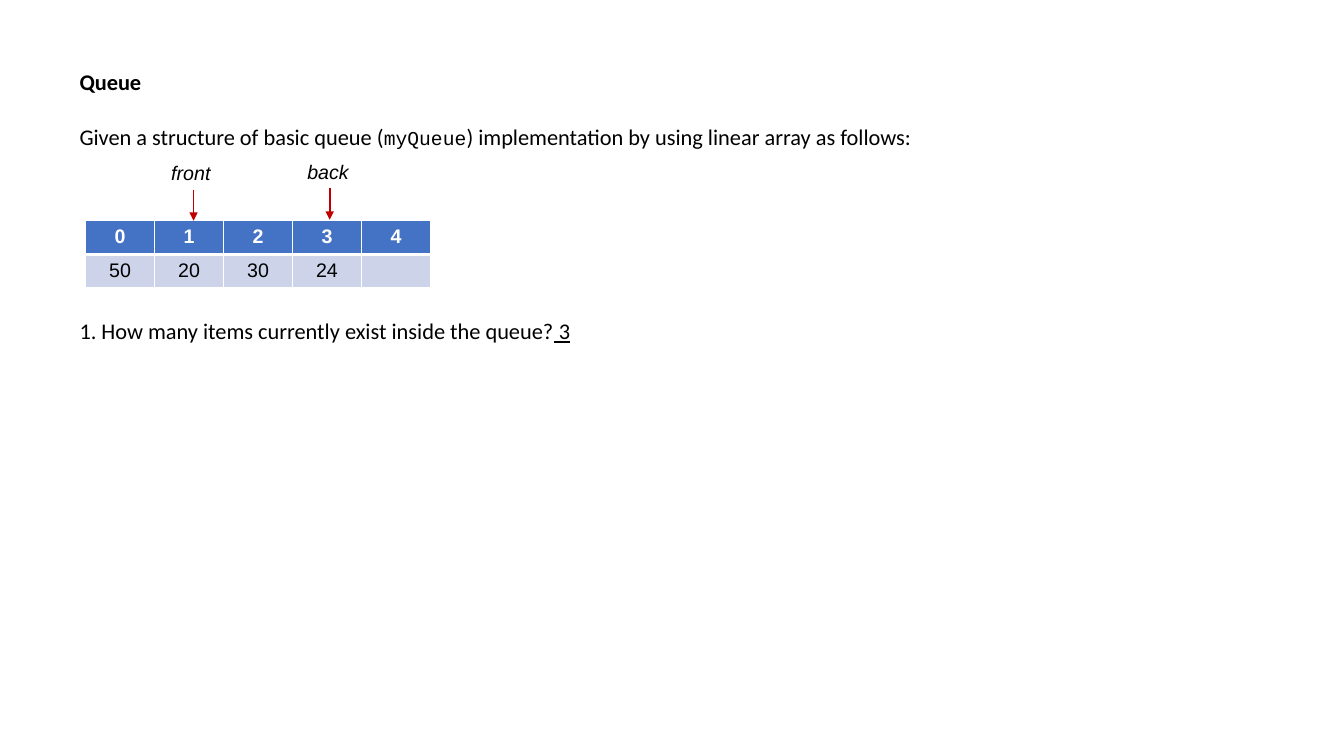
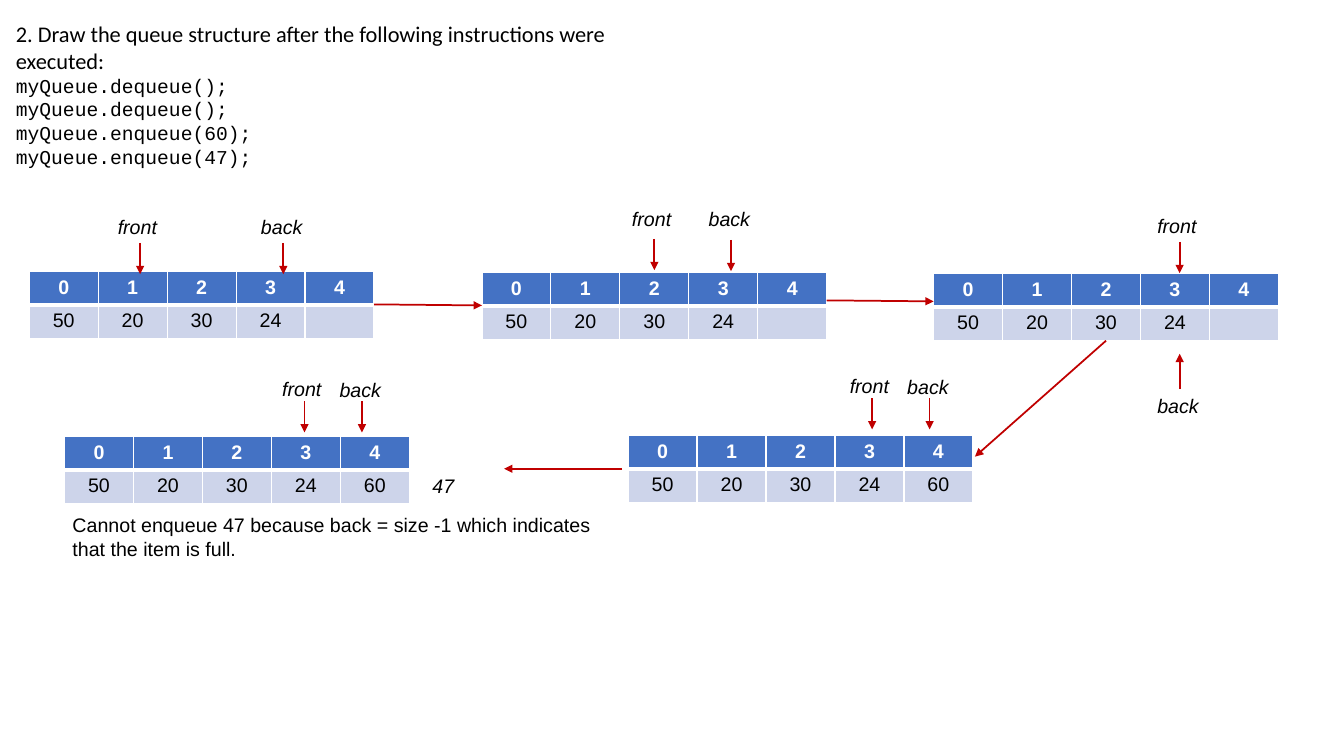
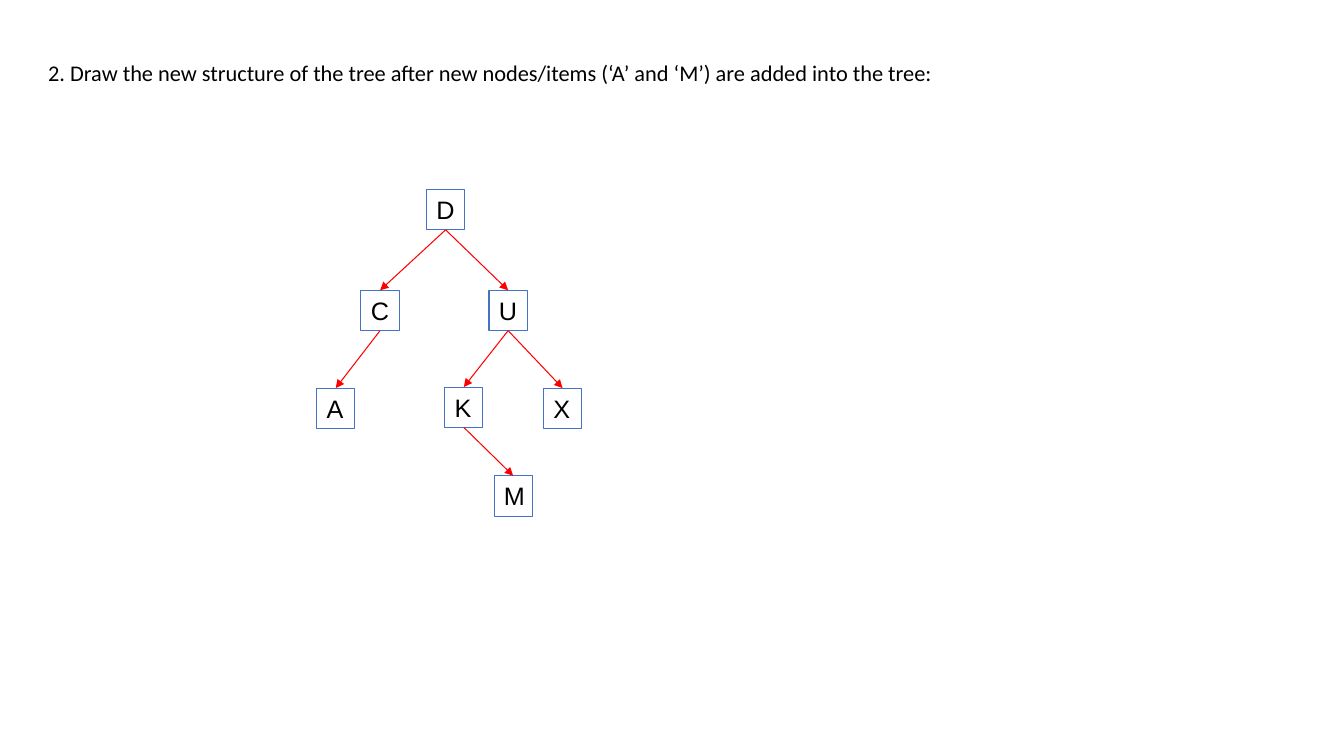
"""Build three slides of queue and tree exercises."""
from dataclasses import dataclass

from lxml.etree import SubElement
from pptx import Presentation
from pptx.dml.color import RGBColor
from pptx.enum.shapes import MSO_CONNECTOR, MSO_SHAPE
from pptx.enum.text import MSO_ANCHOR, PP_ALIGN
from pptx.oxml.ns import qn
from pptx.util import Inches, Pt


@dataclass(frozen=True)
class Theme:
    black: str = "000000"
    white: str = "FFFFFF"
    blue: str = "4472C4"
    pale: str = "CDD4EA"
    pointer: str = "C00000"
    edge: str = "FF0000"
    question: tuple = ("Calibri", 16)
    code: tuple = ("Courier New", 14)
    label: tuple = ("Arial", 14)
    node: tuple = ("Arial", 18)
    pointer_width: float = 1.25
    thin: float = 0.75


T = Theme()
LABEL_W, LABEL_H = 0.64, 0.34
CELL_W, CELL_H = 0.684, 0.33
NODE_W, NODE_H = 0.38, 0.4

START = ["50", "20", "30", "24", ""]
FULL = ["50", "20", "30", "24", "60"]

INTRO = [
    [("Queue", T.question, "b")],
    [("Given a structure of basic queue (", T.question, ""),
     ("myQueue", T.code, ""),
     (") implementation by using linear array as follows:", T.question, "")],
]
COUNT = [[("1. How many items currently exist inside the queue?", T.question, ""),
          (" 3", T.question, "u")]]
DRAW_QUEUE = [
    [("2. Draw the queue structure after the following instructions were executed:",
      T.question, "")],
    [("myQueue.dequeue();", T.code, "")],
    [("myQueue.dequeue();", T.code, "")],
    [("myQueue.enqueue(60);", T.code, "")],
    [("myQueue.enqueue(47);", T.code, "")],
]
OVERFLOW = [[("47", T.label, "i")]]
FULL_NOTE = [[("Cannot enqueue 47 because back = size -1 which indicates "
               "that the item is full.", T.label, "")]]
DRAW_TREE = [[("2. Draw the new structure of the tree after new nodes/items "
               "(‘A’ and ‘M’) are added into the tree:", T.question, "")]]

# Each queue: left, top, values, pointers (name, left, top, arrow start, arrow end)
FIRST_QUEUE = (0.85, 2.19, START, [("front", 1.6, 1.55, 1.89, 2.19),
                                   ("back", 2.95, 1.54, 1.87, 2.18)])
QUEUE_STEPS = [
    (0.29, 2.69, START, [("front", 1.07, 2.08, 2.41, 2.72),
                         ("back", 2.49, 2.08, 2.41, 2.72)]),
    (4.78, 2.7, START, [("front", 6.17, 2, 2.37, 2.68),
                        ("back", 6.93, 2, 2.38, 2.69)]),
    (9.26, 2.71, START, [("front", 11.38, 2.07, 2.4, 2.71),
                         ("back", 11.38, 3.86, 3.86, 3.51)]),
    (6.23, 4.32, FULL, [("front", 8.33, 3.66, 3.95, 4.26),
                        ("back", 8.9, 3.67, 3.95, 4.26)]),
    (0.64, 4.33, FULL, [("front", 2.7, 3.69, 3.98, 4.29),
                        ("back", 3.27, 3.7, 3.98, 4.29)]),
]
STEP_ARROWS = [(3.71, 3.02, 4.78, 3.03), (8.2, 2.98, 9.26, 2.99),
               (10.97, 3.38, 9.67, 4.53), (6.17, 4.65, 5, 4.65)]

TREE_NODES = {"D": (4.23, 1.88), "C": (3.58, 2.88), "U": (4.85, 2.88),
              "A": (3.14, 3.85), "K": (4.41, 3.84), "X": (5.39, 3.85),
              "M": (4.9, 4.72)}
TREE_EDGES = ["DC", "DU", "CA", "UK", "UX", "KM"]


def rgb(color):
    return RGBColor.from_string(color)


def style(r, font, flags="", color=T.black):
    name, size = font
    r.font.name, r.font.size = name, Pt(size)
    r.font.color.rgb = rgb(color)
    r.font.bold = "b" in flags
    r.font.italic = "i" in flags
    r.font.underline = "u" in flags


def add_text(s, left, top, width, height, paragraphs, gap=0):
    tf = s.shapes.add_textbox(*map(Inches, (left, top, width, height))).text_frame
    tf.word_wrap = True
    for i, runs in enumerate(paragraphs):
        p = tf.add_paragraph() if i else tf.paragraphs[0]
        if i and gap:
            p.space_before = Pt(gap)
        for text, font, flags in runs:
            r = p.add_run()
            r.text = text
            style(r, font, flags)


def add_arrow(s, x1, y1, x2, y2, color=T.pointer, width=T.pointer_width):
    line = s.shapes.add_connector(MSO_CONNECTOR.STRAIGHT,
                                  *map(Inches, (x1, y1, x2, y2)))
    line.line.color.rgb = rgb(color)
    line.line.width = Pt(width)
    SubElement(line.line._get_or_add_ln(), qn("a:tailEnd"), type="triangle")
    SubElement(line._element.spPr, qn("a:effectLst"))
    return line


def set_borders(cell, widths):
    tcPr = cell._tc.get_or_add_tcPr()
    for i, (side, width) in enumerate(zip("LRTB", widths)):
        ln = tcPr.makeelement(qn(f"a:ln{side}"), {"w": str(Pt(width))})
        fill = SubElement(ln, qn("a:solidFill"))
        SubElement(fill, qn("a:srgbClr"), val=T.white)
        tcPr.insert(i, ln)


def add_queue(s, left, top, values, pointers):
    n = len(values)
    table = s.shapes.add_table(2, n, Inches(left), Inches(top),
                               Inches(n * CELL_W), Inches(2 * CELL_H)).table
    rows = [([str(i) for i in range(n)], T.blue, T.white, "b", (1, 1, 1, 3)),
            (values, T.pale, T.black, "", (1, 1, 3, 1))]
    for y, (texts, fill, color, flags, widths) in enumerate(rows):
        for x, text in enumerate(texts):
            cell = table.cell(y, x)
            cell.fill.solid()
            cell.fill.fore_color.rgb = rgb(fill)
            set_borders(cell, widths)
            p = cell.text_frame.paragraphs[0]
            p.text = text
            p.alignment = PP_ALIGN.CENTER
            for r in p.runs:
                style(r, T.label, flags, color)
            if not text:
                SubElement(p._p, qn("a:endParaRPr"), sz=str(T.label[1] * 100))
    for name, x, y, start, end in pointers:
        add_text(s, x, y, LABEL_W, LABEL_H, [[(name, T.label, "i")]])
        center = x + LABEL_W / 2
        add_arrow(s, center, start, center, end)


def add_node(s, name, left, top):
    sp = s.shapes.add_shape(MSO_SHAPE.RECTANGLE,
                            *map(Inches, (left, top, NODE_W, NODE_H)))
    sp.shadow.inherit = False
    sp.fill.background()
    sp.line.color.rgb = rgb(T.blue)
    sp.line.width = Pt(T.thin)
    tf = sp.text_frame
    tf.text = name
    tf.word_wrap = True
    tf.vertical_anchor = MSO_ANCHOR.TOP
    p = tf.paragraphs[0]
    p.alignment = PP_ALIGN.LEFT
    style(p.runs[0], T.node)
    return sp


def build_intro(s):
    add_text(s, 0.69, 0.63, 11.35, 0.91, INTRO, gap=19.5)
    add_queue(s, *FIRST_QUEUE)
    add_text(s, 0.69, 3.1, 7.99, 0.37, COUNT)


def build_steps(s):
    add_text(s, 0.06, 0.15, 6.3, 1.58, DRAW_QUEUE)
    for queue in QUEUE_STEPS:
        add_queue(s, *queue)
    for ends in STEP_ARROWS:
        add_arrow(s, *ends)
    add_text(s, 4.19, 4.65, LABEL_W, LABEL_H, OVERFLOW)
    add_text(s, 0.62, 5.04, 5.67, 0.57, FULL_NOTE)


def build_tree(s):
    add_text(s, 0.38, 0.54, 10.44, 0.91, DRAW_TREE)
    nodes = {name: add_node(s, name, *at) for name, at in TREE_NODES.items()}
    for parent, child in TREE_EDGES:
        edge = add_arrow(s, 0, 0, 1, 1, T.edge, T.thin)
        edge.begin_connect(nodes[parent], 2)
        edge.end_connect(nodes[child], 0)


def main():
    prs = Presentation()
    prs.slide_width, prs.slide_height = Inches(13.33), Inches(7.5)
    for build in (build_intro, build_steps, build_tree):
        build(prs.slides.add_slide(prs.slide_layouts[6]))
    prs.save("out.pptx")


if __name__ == "__main__":
    main()
